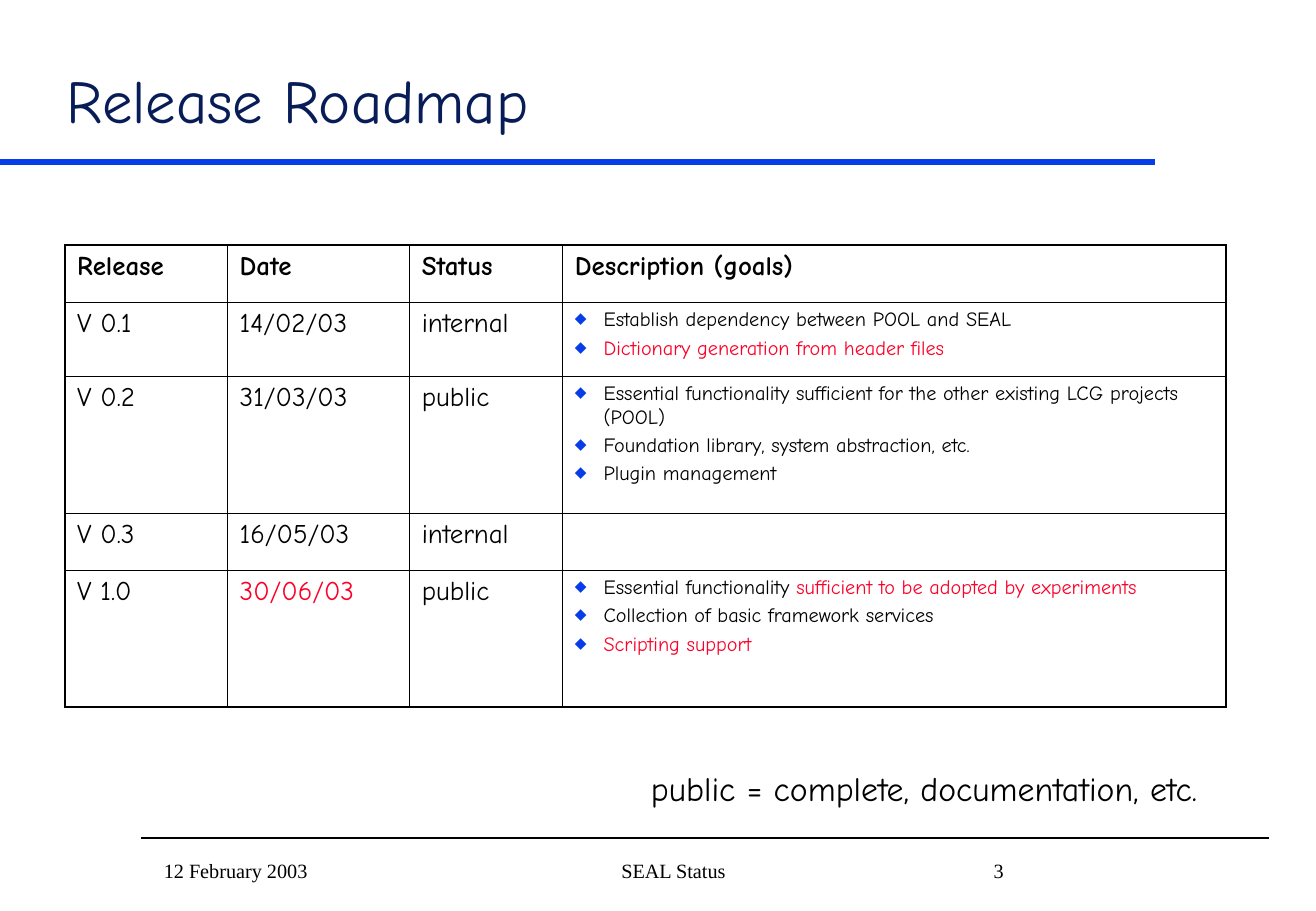
from lxml.etree import SubElement
from pptx import Presentation
from pptx.dml.color import RGBColor
from pptx.enum.shapes import MSO_CONNECTOR as Connector
from pptx.enum.text import MSO_ANCHOR as Anchor, PP_ALIGN as Align
from pptx.oxml import parse_xml
from pptx.oxml.ns import nsdecls, qn
from pptx.util import Pt

BLACK, RED, BLUE, NAVY = "000000", "FC0128", "063DE8", "081D58"
COMIC, TIMES = "Comic Neue", "Times New Roman"

TITLE = "Release Roadmap"
HEADINGS = ["Release", "Date", "Status", "Description (goals)"]
RELEASES = [
    ("V 0.1", "14/02/03", BLACK, "internal", [
        [("Establish dependency between POOL and SEAL", BLACK)],
        [("Dictionary generation from header files", RED)],
    ]),
    ("V 0.2", "31/03/03", BLACK, "public", [
        [("Essential functionality sufficient for the other existing LCG projects (POOL)", BLACK)],
        [("Foundation library, system abstraction, etc.", BLACK)],
        [("Plugin management", BLACK)],
    ]),
    ("V 0.3", "16/05/03", BLACK, "internal", []),
    ("V 1.0", "30/06/03", RED, "public", [
        [("Essential functionality ", BLACK), ("sufficient to be adopted by experiments", RED)],
        [("Collection of basic framework services", BLACK)],
        [("Scripting support", RED)],
    ]),
]
COLUMN_WIDTHS = [96.4, 108, 90.7, 393.2]
ROW_HEIGHTS = [34, 43.8, 81, 33.8, 81]
THICK, THIN = 1.08, 0.45

NOTE = ("public = complete, documentation, etc.", (378.7, 451.4, 373, 31.7), Align.LEFT)
FOOTERS = [
    ("12 February 2003", (90, 504, 131.8, 23.8), Align.LEFT),
    ("SEAL Status", (228.2, 504, 342, 23.8), Align.CENTER),
    ("3", (581.8, 504, 162, 23.8), Align.LEFT),
]
RULES = [((0, 96), (684.7, 96), BLUE, 4), ((83.8, 496.6), (752.4, 496.6), BLACK, 1)]


def color(hex_value):
    return RGBColor.from_string(hex_value)


def points(values):
    return [Pt(value) for value in values]


def apply(target, formats):
    for key, value in formats.items():
        setattr(target, key, value)


def write(paragraph, pieces, size, face=COMIC, bold=False):
    for words, hue in pieces:
        run = paragraph.add_run()
        run.text = words
        apply(run.font, dict(size=Pt(size), name=face, bold=bold))
        run.font.color.rgb = color(hue)


def add_bullet(paragraph):
    props = paragraph._p.get_or_add_pPr()
    apply_indent = dict(marL=Pt(17), indent=-Pt(17))
    for key, value in apply_indent.items():
        props.set(key, str(int(value)))
    SubElement(SubElement(props, qn("a:buClr")), qn("a:srgbClr")).set("val", BLUE)
    SubElement(props, qn("a:buSzPct")).set("val", "75000")
    SubElement(props, qn("a:buChar")).set("char", "◆")


def set_borders(cell, widths):
    props = cell._tc.get_or_add_tcPr()
    for order, (side, width) in enumerate(zip("LRTB", widths)):
        props.insert(order, parse_xml(
            f'<a:ln{side} {nsdecls("a")} w="{int(Pt(width))}"><a:solidFill>'
            f'<a:srgbClr val="{BLACK}"/></a:solidFill></a:ln{side}>'))


def add_text(slide, words, box, align, size, face, anchor):
    frame = slide.shapes.add_textbox(*points(box)).text_frame
    apply(frame, dict(word_wrap=True, vertical_anchor=anchor))
    paragraph = frame.paragraphs[0]
    paragraph.alignment = align
    write(paragraph, [(words, BLACK)], size, face)


def add_rule(slide, start, end, hue, width):
    rule = slide.shapes.add_connector(Connector.STRAIGHT, *points(start + end))
    rule.line.color.rgb = color(hue)
    rule.line.width = Pt(width)
    SubElement(rule._element.spPr, qn("a:effectLst"))


def add_title(slide):
    title = slide.shapes.title
    apply(title, dict(zip(("left", "top", "width", "height"), points((32.4, 18, 662.4, 66.2)))))
    apply(title.text_frame, dict(word_wrap=True, vertical_anchor=Anchor.BOTTOM))
    heading = title.text_frame.paragraphs[0]
    heading.alignment = Align.LEFT
    write(heading, [(TITLE, NAVY)], 36)


def add_roadmap(slide):
    rows, columns = len(ROW_HEIGHTS), len(COLUMN_WIDTHS)
    box = points((38.5, 145.4, sum(COLUMN_WIDTHS), sum(ROW_HEIGHTS)))
    roadmap = slide.shapes.add_table(rows, columns, *box).table
    apply(roadmap, dict(first_row=False, horz_banding=False))
    for column, width in zip(roadmap.columns, COLUMN_WIDTHS):
        column.width = Pt(width)
    for row, height in zip(roadmap.rows, ROW_HEIGHTS):
        row.height = Pt(height)

    content = [[[[(heading, BLACK)]] for heading in HEADINGS]]
    for version, date, date_hue, status, goals in RELEASES:
        content.append([[[(version, BLACK)]], [[(date, date_hue)]], [[(status, BLACK)]], goals])

    for r, row in enumerate(content):
        for c, paragraphs in enumerate(row):
            cell = roadmap.cell(r, c)
            cell.fill.background()
            edges = (c == 0, c == columns - 1, r == 0, r == rows - 1)
            set_borders(cell, [THICK if edge else THIN for edge in edges])
            is_goal = r > 0 and c == columns - 1
            for index, pieces in enumerate(paragraphs):
                frame = cell.text_frame
                paragraph = frame.add_paragraph() if index else frame.paragraphs[0]
                if index:
                    paragraph.space_before = Pt(3)
                if is_goal:
                    add_bullet(paragraph)
                write(paragraph, pieces, 12 if is_goal else 16, bold=r == 0)


def main():
    deck = Presentation()
    apply(deck, dict(slide_width=Pt(780), slide_height=Pt(540)))
    slide = deck.slides.add_slide(deck.slide_layouts[5])
    for rule in RULES:
        add_rule(slide, *rule)
    add_title(slide)
    add_roadmap(slide)
    add_text(slide, *NOTE, 20, COMIC, Anchor.TOP)
    for footer in FOOTERS:
        add_text(slide, *footer, 12, TIMES, Anchor.MIDDLE)
    deck.save("out.pptx")


if __name__ == "__main__":
    main()
